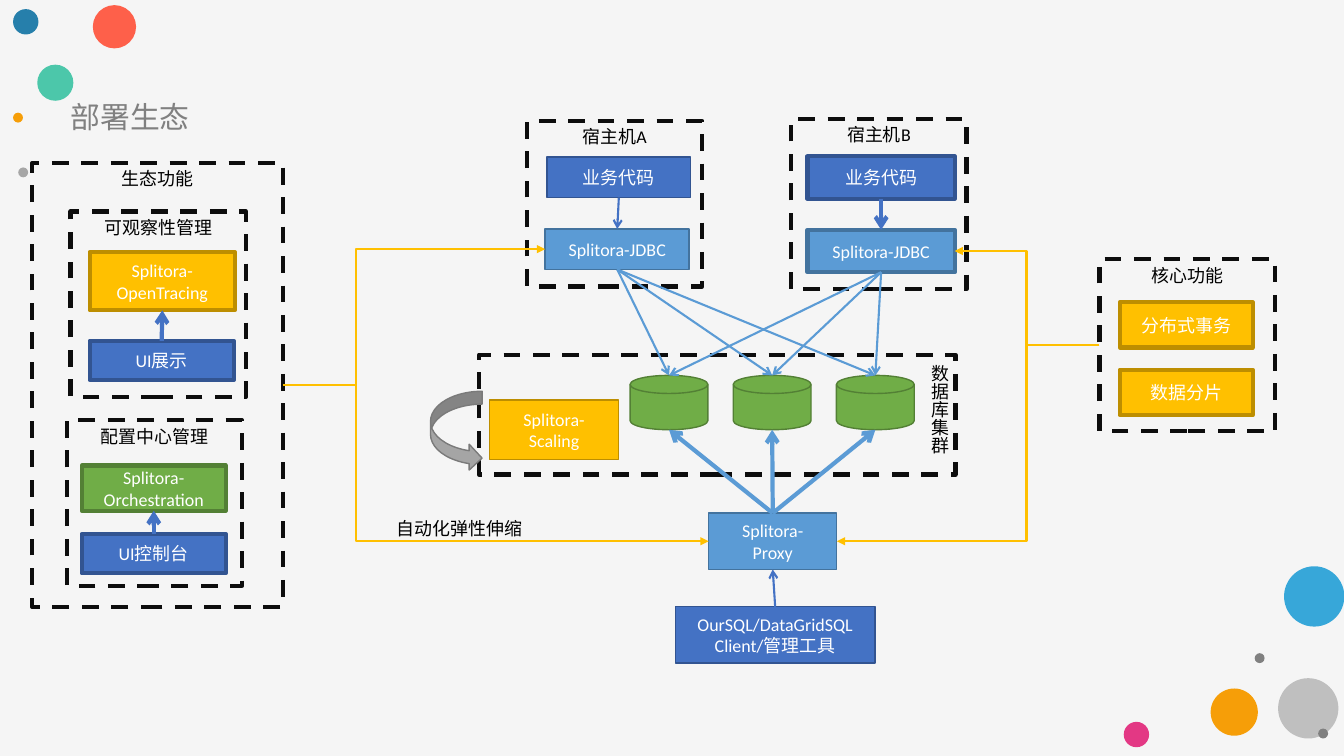
from dataclasses import dataclass
from itertools import product

from lxml import etree
from pptx import Presentation
from pptx.dml.color import RGBColor
from pptx.enum.dml import MSO_LINE
from pptx.enum.shapes import MSO_CONNECTOR, MSO_SHAPE
from pptx.enum.text import MSO_ANCHOR, PP_ALIGN
from pptx.oxml.ns import qn
from pptx.util import Cm, Pt

RECT, OVAL = MSO_SHAPE.RECTANGLE, MSO_SHAPE.OVAL
DISK, CURVE = MSO_SHAPE.FLOWCHART_MAGNETIC_DISK, MSO_SHAPE.CURVED_RIGHT_ARROW
STRAIGHT, ELBOW = MSO_CONNECTOR.STRAIGHT, MSO_CONNECTOR.ELBOW
DASH = MSO_LINE.DASH
TOP, MIDDLE = MSO_ANCHOR.TOP, MSO_ANCHOR.MIDDLE
LEFT, CENTER = PP_ALIGN.LEFT, PP_ALIGN.CENTER

LATIN, HAN = "Calibri", "Noto Sans CJK SC"
COLORS = {
    "back": "F5F5F5", "white": "FFFFFF", "black": "000000", "frame": "0D0D0D",
    "blue": "4472C4", "navy": "325491", "sky": "5B9BD5", "steel": "43739E",
    "gold": "FFC000", "bronze": "BD8E00", "green": "70AD47", "moss": "538035",
    "ash": "A5A5A5", "slate": "7A7A7A", "gray": "808080", "silver": "BFBFBF",
    "smoke": "A6A6A6", "mint": "4CC7AA", "azure": "37A7D9", "coral": "FE604A",
    "orange": "F69E08", "pink": "E33884", "ocean": "267FAB",
}
EDGES = {"blue": "navy", "sky": "steel", "gold": "bronze",
         "green": "moss", "ash": "slate"}


@dataclass
class Dot:
    """A round ornament; lengths in cm."""
    x: float
    y: float
    size: float
    tone: str


@dataclass
class Box:
    """An outlined shape; without a tone it is a dashed frame."""
    x: float
    y: float
    w: float
    h: float
    text: str = ""
    tone: str = ""
    line: float = 3
    kind: MSO_SHAPE = RECT

    def site(self, side: str) -> tuple[float, float]:
        """Return the middle of one side."""
        mid_x, mid_y = self.x + self.w / 2, self.y + self.h / 2
        return {"top": (mid_x, self.y), "low": (mid_x, self.y + self.h),
                "left": (self.x, mid_y), "right": (self.x + self.w, mid_y)}[side]


@dataclass
class Link:
    """An arrow between box sides; bend is the x of its upright part."""
    start: Box
    out: str
    end: Box
    side: str
    tone: str
    line: float = 1.5
    bend: float = 0


def rgb(name: str) -> RGBColor:
    """Look up a colour."""
    return RGBColor.from_string(COLORS[name])


def style(frame, tone: str, size: float, align=CENTER) -> None:
    """Format all text in a frame."""
    for para in frame.paragraphs:
        para.alignment = align
        for run in para.runs:
            run.font.size = Pt(size)
            run.font.name = LATIN
            run.font.color.rgb = rgb(tone)
            han = etree.Element(qn("a:ea"), typeface=HAN)
            run.font._element.find(qn("a:latin")).addnext(han)


def draw_dot(slide, dot: Dot) -> None:
    """Draw one ornament."""
    shape = slide.shapes.add_shape(OVAL, Cm(dot.x), Cm(dot.y), Cm(dot.size), Cm(dot.size))
    shape.shadow.inherit = False
    shape.fill.solid()
    shape.fill.fore_color.rgb = rgb(dot.tone)
    shape.line.fill.background()


def draw_box(slide, box: Box):
    """Draw a box with its text and return the shape."""
    shape = slide.shapes.add_shape(box.kind, Cm(box.x), Cm(box.y), Cm(box.w), Cm(box.h))
    shape.shadow.inherit = False
    shape.line.width = Pt(box.line)
    if box.tone:
        shape.fill.solid()
        shape.fill.fore_color.rgb = rgb(box.tone)
        shape.line.color.rgb = rgb(EDGES[box.tone])
    else:
        shape.fill.background()
        shape.line.color.rgb = rgb("frame")
        shape.line.dash_style = DASH
    if box.text:
        frame = shape.text_frame
        frame.text = box.text
        frame.word_wrap = True
        frame.vertical_anchor = MIDDLE if box.tone else TOP
        style(frame, "white" if box.tone else "black", 12.8)
    return shape


def draw_link(slide, link: Link) -> None:
    """Draw an arrow, straight or bent."""
    x1, y1 = link.start.site(link.out)
    x2, y2 = link.end.site(link.side)
    wire = slide.shapes.add_connector(ELBOW if link.bend else STRAIGHT,
                                      Cm(x1), Cm(y1), Cm(x2), Cm(y2))
    wire.line.color.rgb = rgb(link.tone)
    wire.line.width = Pt(link.line)
    props = wire._element.spPr
    head = "triangle" if link.bend else "arrow"
    etree.SubElement(props.find(qn("a:ln")), qn("a:tailEnd"), type=head)
    etree.SubElement(props, qn("a:effectLst"))
    if link.bend:
        ratio = round((link.bend - x1) / (x2 - x1) * 100000)
        guides = props.find(".//" + qn("a:avLst"))
        etree.SubElement(guides, qn("a:gd"), name="adj1", fmla=f"val {ratio}")


def draw_note(slide, text: str, x: float, y: float, w: float, h: float,
              tone: str, size: float, wrap: bool):
    """Draw free text and return its frame."""
    frame = slide.shapes.add_textbox(Cm(x), Cm(y), Cm(w), Cm(h)).text_frame
    frame.text = text
    frame.word_wrap = wrap
    style(frame, tone, size, LEFT)
    return frame


DOTS = [
    Dot(0.94, 1.63, 0.91, "mint"), Dot(32.21, 17.09, 1.52, "silver"),
    Dot(32.36, 14.27, 1.52, "azure"), Dot(2.34, 0.13, 1.09, "coral"),
    Dot(30.51, 17.35, 1.19, "orange"), Dot(28.32, 18.19, 0.64, "pink"),
    Dot(0.33, 2.84, 0.25, "orange"), Dot(0.46, 4.22, 0.25, "smoke"),
    Dot(0.33, 0.23, 0.64, "ocean"), Dot(33.22, 18.36, 0.25, "gray"),
    Dot(31.62, 16.46, 0.25, "gray"),
]

disks = [Box(15.88 + 2.6 * i, 9.46, 1.96, 1.37, "", "green", 1, DISK) for i in range(3)]
cluster = Box(12.07, 8.94, 12.01, 3.02, "数据库集群")
proxy = Box(17.86, 12.93, 3.23, 1.42, "Splitora-\nProxy", "sky", 1)
client = Box(17.02, 15.29, 5.03, 1.42, "OurSQL/DataGridSQL\nClient/管理工具", "blue", 1)
scale = Box(12.34, 10.08, 3.25, 1.5, "Splitora-Scaling", "gold", 1)
loop = Box(10.85, 9.86, 1.3, 2.01, "", "ash", 1, CURVE)

host_a = Box(13.28, 3.05, 4.42, 4.17, "宿主机A")
code_a = Box(13.79, 3.96, 3.61, 1.02, "业务代码", "blue", 1)
jdbc_a = Box(13.74, 5.77, 3.63, 1.02, "Splitora-JDBC", "sky", 1)
host_b = Box(19.94, 3, 4.42, 4.29, "宿主机B")
code_b = Box(20.35, 3.94, 3.71, 1.07, "业务代码", "blue")
jdbc_b = Box(20.35, 5.79, 3.71, 1.07, "Splitora-JDBC", "sky")

core = Box(27.71, 6.53, 4.42, 4.34, "核心功能")
parts = [Box(28.22, 7.62 + 1.7 * i, 3.35, 1.14, text, "gold")
         for i, text in enumerate(["分布式事务", "数据分片"])]

eco = Box(0.81, 4.11, 6.32, 11.18, "生态功能")
watch = Box(1.78, 5.33, 4.42, 4.67, "可观察性管理")
trace = Box(2.26, 6.35, 3.66, 1.47, "Splitora-OpenTracing", "gold")
view = Box(2.26, 8.59, 3.63, 0.99, "UI展示", "blue")
config = Box(1.68, 10.59, 4.42, 4.17, "配置中心管理")
orch = Box(2.06, 11.73, 3.63, 1.14, "Splitora-\nOrchestration", "green")
panel = Box(2.06, 13.46, 3.63, 0.99, "UI控制台", "blue")

BOXES = [*disks, proxy, client, scale, loop, host_a, code_a, jdbc_a, host_b,
         code_b, jdbc_b, core, *parts, eco, watch, trace, view, config, orch, panel]
LINKS = [
    *[Link(jdbc, "low", disk, "top", "sky") for jdbc, disk in product([jdbc_a, jdbc_b], disks)],
    *[Link(proxy, "top", disk, "low", "sky", 3) for disk in disks],
    Link(code_a, "low", jdbc_a, "top", "blue"),
    Link(code_b, "low", jdbc_b, "top", "blue", 3),
    Link(client, "top", proxy, "low", "blue"),
    Link(view, "top", trace, "low", "blue", 3),
    Link(panel, "top", orch, "low", "blue", 3),
    *[Link(eco, "right", end, "left", "gold", bend=8.97) for end in (jdbc_a, proxy)],
    *[Link(core, "left", end, "right", "gold", bend=25.87) for end in (jdbc_b, proxy)],
]

deck = Presentation()
deck.slide_width, deck.slide_height = Cm(33.87), Cm(19.05)
slide = deck.slides.add_slide(deck.slide_layouts[6])
slide.background.fill.solid()
slide.background.fill.fore_color.rgb = rgb("back")

for dot in DOTS:
    draw_dot(slide, dot)
title = draw_note(slide, "部署生态", 1.68, 2.44, 3.25, 1.02, "gray", 21.3, False)
title.margin_left = title.margin_right = Cm(0.1)
title.margin_top = title.margin_bottom = Cm(0.05)
shape = draw_box(slide, cluster)
shape.text_frame._txBody.bodyPr.set("vert", "eaVert")
for box in BOXES:
    draw_box(slide, box)
for link in LINKS:
    draw_link(slide, link)
draw_note(slide, "自动化弹性伸缩", 9.75, 12.93, 3.73, 0.81, "black", 12.8, True)

deck.save("out.pptx")
